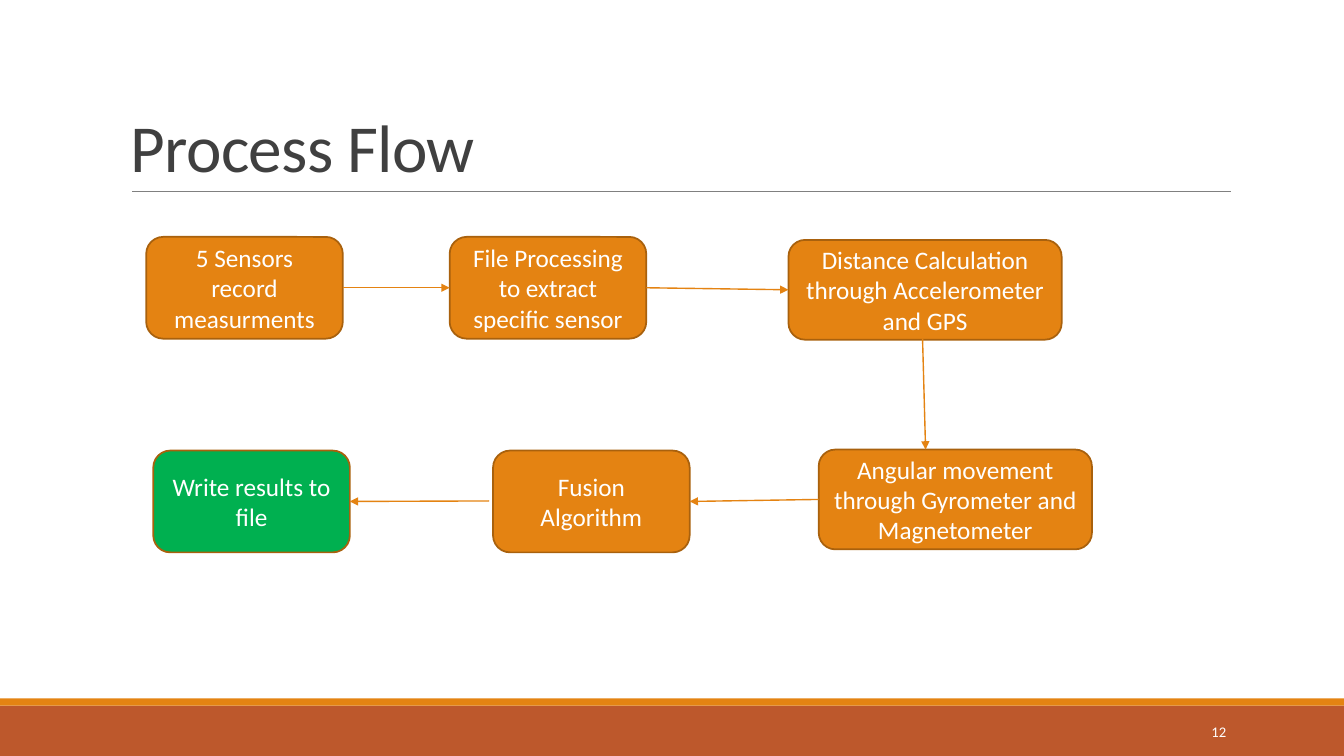
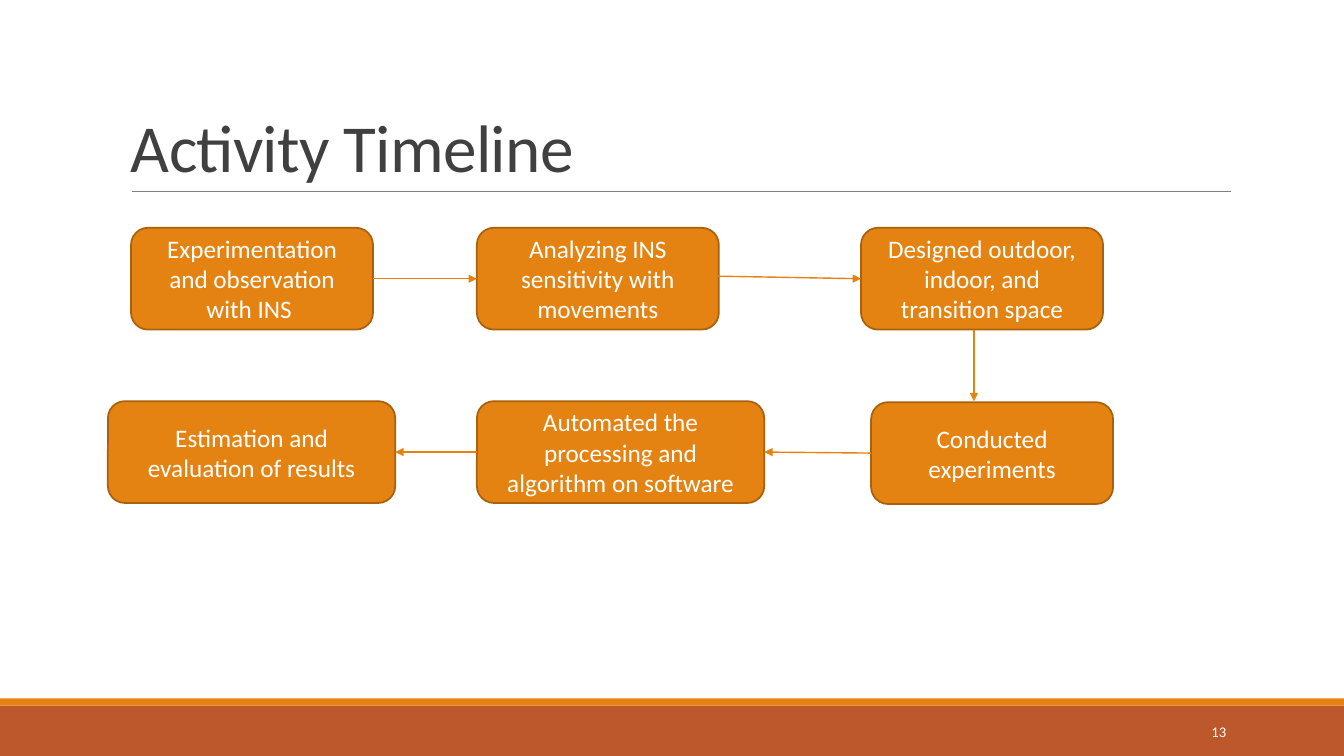
from pptx import Presentation
from pptx.dml.color import RGBColor
from pptx.enum.shapes import MSO_CONNECTOR as Conn, MSO_SHAPE as Shape
from pptx.enum.text import MSO_ANCHOR as Anchor, PP_ALIGN as Align
from pptx.oxml.ns import qn
from pptx.util import Inches, Pt
from lxml.etree import SubElement

WIDE, HIGH = 13.33, 7.5
FONT = "Calibri"
HUES = {"rust": "BD582C", "orange": "E48312", "edge": "A9610D", "green": "00B050",
        "rule": "808080", "title": "404040", "white": "FFFFFF"}

TOP, LEFT, BOTTOM, RIGHT = range(4)
# Sides left and entered by each arrow: right along the top row, down, then back left
TURNS = [(RIGHT, LEFT), (RIGHT, LEFT), (BOTTOM, TOP), (LEFT, RIGHT), (LEFT, RIGHT)]

# Steps: text, (left, top, width, height), fill
# Loose: arrow ends that miss the middle of a side, as {(arrow, end): point}
SLIDES = [
    {"title": "Process Flow", "page": "12",
     "steps": [
         ("5 Sensors record measurments", (1.45, 2.35, 1.95, 1.01), "orange"),
         ("File Processing to extract specific sensor", (4.46, 2.35, 1.95, 1.01), "orange"),
         ("Distance Calculation through Accelerometer and GPS",
          (7.82, 2.38, 2.71, 0.99), "orange"),
         ("Angular movement through Gyrometer and Magnetometer",
          (8.12, 4.46, 2.71, 0.99), "orange"),
         ("Fusion Algorithm", (4.89, 4.47, 1.95, 1.01), "orange"),
         ("Write results to file", (1.52, 4.47, 1.95, 1.01), "green")],
     "loose": {(2, 0): (9.15, 3.36), (2, 1): (9.18, 4.46), (4, 0): (4.85, 4.97)}},
    {"title": "Activity Timeline", "page": "13",
     "steps": [
         ("Experimentation and observation with INS ", (1.3, 2.26, 2.4, 1.01), "orange"),
         ("Analyzing INS sensitivity with movements", (4.73, 2.26, 2.4, 1.01), "orange"),
         ("Designed outdoor, indoor, and transition space",
          (8.54, 2.26, 2.4, 1.01), "orange"),
         ("Conducted experiments", (8.64, 3.99, 2.4, 1.01), "orange"),
         ("Automated the processing and algorithm on software",
          (4.73, 3.98, 2.85, 1.01), "orange"),
         ("Estimation and evaluation of results", (1.07, 3.98, 2.85, 1.01), "orange")],
     "loose": {(1, 0): (7.12, 2.74), (2, 0): (9.66, 3.27), (2, 1): (9.66, 3.98)}},
]


def hue(name):
    return RGBColor.from_string(HUES[name])


def write(shape, text, size, color, align, anchor):
    frame = shape.text_frame
    frame.word_wrap = True
    frame.vertical_anchor = anchor
    para = frame.paragraphs[0]
    para.alignment = align
    run = para.add_run()
    run.text = text
    run.font.name, run.font.size = FONT, Pt(size)
    run.font.color.rgb = hue(color)
    return para, run


def block(slide, kind, box, fill, edge=None):
    shape = slide.shapes.add_shape(kind, *map(Inches, box))
    shape.shadow.inherit = False
    shape.fill.solid()
    shape.fill.fore_color.rgb = hue(fill)
    if edge:
        shape.line.color.rgb = hue(edge)
        shape.line.width = Pt(1.25)
    else:
        shape.line.fill.background()
    return shape


def label(slide, box, *style):
    return write(slide.shapes.add_textbox(*map(Inches, box)), *style)


def rule(slide, start, end, color, width):
    line = slide.shapes.add_connector(Conn.STRAIGHT, *map(Inches, (*start, *end)))
    line.line.color.rgb = hue(color)
    line.line.width = Pt(width)
    SubElement(line.element.spPr, qn("a:effectLst"))
    return line


def frame(slide, title, page):
    """Draw the bands, title and page number that every slide carries."""
    block(slide, Shape.RECTANGLE, (0, 7, WIDE, 0.5), "rust")
    block(slide, Shape.RECTANGLE, (0, 6.93, WIDE, 0.07), "orange")
    rule(slide, (1.31, 1.9), (12.21, 1.9), "rule", 0.5)
    para, run = label(slide, (1.2, 0.31, 11, 1.59), title, 48, "title",
                      Align.LEFT, Anchor.BOTTOM)
    para.line_spacing = 0.85
    run.font._element.set("spc", "-50")
    label(slide, (10.83, 7.06, 1.43, 0.4), page, 10.5, "white",
          Align.RIGHT, Anchor.MIDDLE)


def middle(box, side):
    """Find the middle of one side of a box."""
    x, y, w, h = box
    return {TOP: (x + w / 2, y), LEFT: (x, y + h / 2),
            BOTTOM: (x + w / 2, y + h), RIGHT: (x + w, y + h / 2)}[side]


def flow(slide, steps, loose):
    """Draw the steps and an arrow from each one to the next."""
    nodes = []
    for text, box, fill in steps:
        node = block(slide, Shape.ROUNDED_RECTANGLE, box, fill, "edge")
        write(node, text, 18, "white", Align.CENTER, Anchor.MIDDLE)
        nodes.append(node)
    for i, sides in enumerate(TURNS):
        ends = [loose.get((i, j), middle(steps[i + j][1], side))
                for j, side in enumerate(sides)]
        arrow = rule(slide, *ends, "orange", 1)
        SubElement(arrow.element.spPr.find(qn("a:ln")), qn("a:tailEnd"), type="triangle")
        for j, join in enumerate((arrow.begin_connect, arrow.end_connect)):
            if (i, j) not in loose:
                join(nodes[i + j], sides[j])


def main():
    deck = Presentation()
    deck.slide_width, deck.slide_height = Inches(WIDE), Inches(HIGH)
    for data in SLIDES:
        slide = deck.slides.add_slide(deck.slide_layouts[6])
        frame(slide, data["title"], data["page"])
        flow(slide, data["steps"], data["loose"])
    deck.save("out.pptx")


if __name__ == "__main__":
    main()
